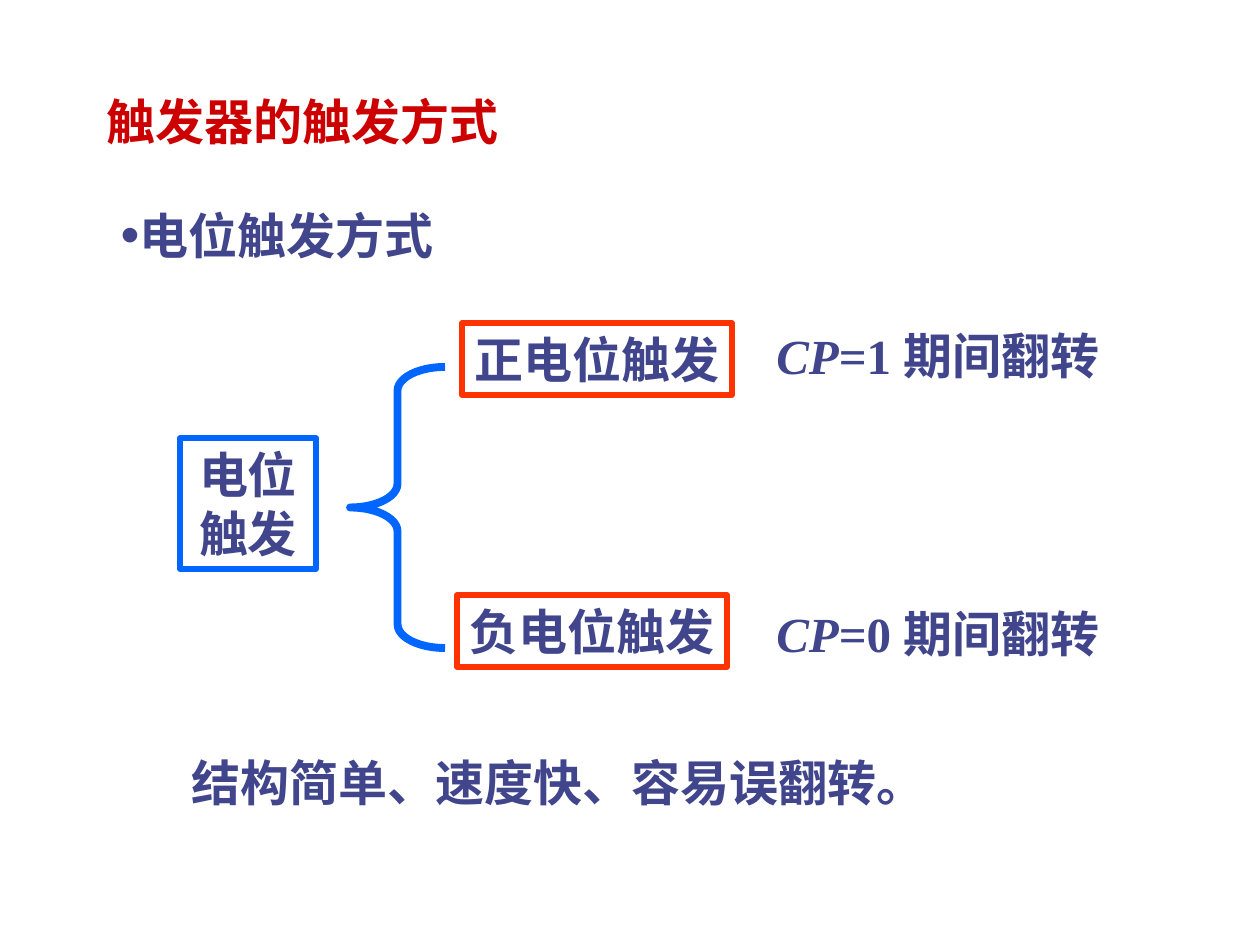
from lxml.etree import SubElement
from pptx import Presentation
from pptx.dml.color import RGBColor
from pptx.enum.shapes import MSO_SHAPE as SHAPE
from pptx.enum.text import MSO_ANCHOR as ANCHOR, MSO_AUTO_SIZE as FIT, PP_ALIGN as ALIGN
from pptx.oxml.ns import qn
from pptx.util import Pt

PX = 914400 / 126
RED = RGBColor(0xCC, 0x00, 0x00)
INDIGO = RGBColor(0x40, 0x45, 0x8C)
BLUE = RGBColor(0x00, 0x66, 0xFF)
ORANGE = RGBColor(0xFF, 0x33, 0x00)
TEXT_FORMAT = {"name": "Times New Roman", "size": Pt(28), "bold": True}


def px(*lengths):
    return [round(length * PX) for length in lengths]


def write(shape, *runs, color=INDIGO, align=ALIGN.LEFT, anchor=ANCHOR.TOP, wrap=True):
    """Fill the shape with one paragraph; runs are (text, italic) pairs."""
    frame = shape.text_frame
    frame.auto_size = FIT.NONE
    frame.word_wrap = wrap
    frame.vertical_anchor = anchor
    paragraph = frame.paragraphs[0]
    paragraph.alignment = align
    paragraph.space_before = Pt(0)
    for text, italic in runs:
        run = paragraph.add_run()
        run.text = text
        for key, value in TEXT_FORMAT.items():
            setattr(run.font, key, value)
        run.font.italic = italic
        run.font.color.rgb = color
    return paragraph


prs = Presentation()
prs.slide_width, prs.slide_height = px(1260, 945)
slide = prs.slides.add_slide(prs.slide_layouts[1])
shapes = slide.shapes

# Title and bullet
heading, topic = slide.placeholders
heading.left, heading.top, heading.width, heading.height = px(94, 63, 1071, 94)
write(heading, ("触发器的触发方式", False), color=RED, anchor=ANCHOR.BOTTOM)

topic.left, topic.top, topic.width, topic.height = px(108, 199, 572, 72)
topic_line = write(topic, ("电位触发方式", False))
bullet = topic_line._p.get_or_add_pPr()
bullet.set("marL", "0")
bullet.set("indent", "0")
bullet_color = SubElement(bullet, qn("a:buClr"))
SubElement(bullet_color, qn("a:srgbClr"), val=str(INDIGO))
SubElement(bullet, qn("a:buSzPct"), val="110000")
SubElement(bullet, qn("a:buChar"), char="•")

# Framed terms
for term, box, color, wrap in (
    ("电位触发", (180, 438, 136, 131), BLUE, True),
    ("正电位触发", (462, 323, 270, 72), ORANGE, False),
    ("负电位触发", (457, 595, 270, 72), ORANGE, False),
):
    frame_box = shapes.add_shape(SHAPE.RECTANGLE, *px(*box))
    frame_box.shadow.inherit = False
    frame_box.fill.background()
    frame_box.line.color.rgb = color
    frame_box.line.width = Pt(3)
    write(frame_box, (term, False), align=ALIGN.CENTER, wrap=wrap)

# Brace from the general term to its two kinds
brace = shapes.add_shape(SHAPE.LEFT_BRACE, *px(350, 367, 95, 281))
brace.adjustments[0] = 0.25
brace.shadow.inherit = False
brace.fill.background()
brace.line.color.rgb = BLUE
brace.line.width = Pt(4.5)

# Clock conditions and conclusion
for level, top in ((1, 319), (0, 597)):
    condition = shapes.add_textbox(*px(764, top, 406, 72))
    write(condition, ("CP", True), (f"={level} 期间翻转", False))

conclusion = shapes.add_textbox(*px(179, 746, 937, 72))
write(conclusion, ("结构简单、速度快、容易误翻转。", False))

prs.save("out.pptx")
